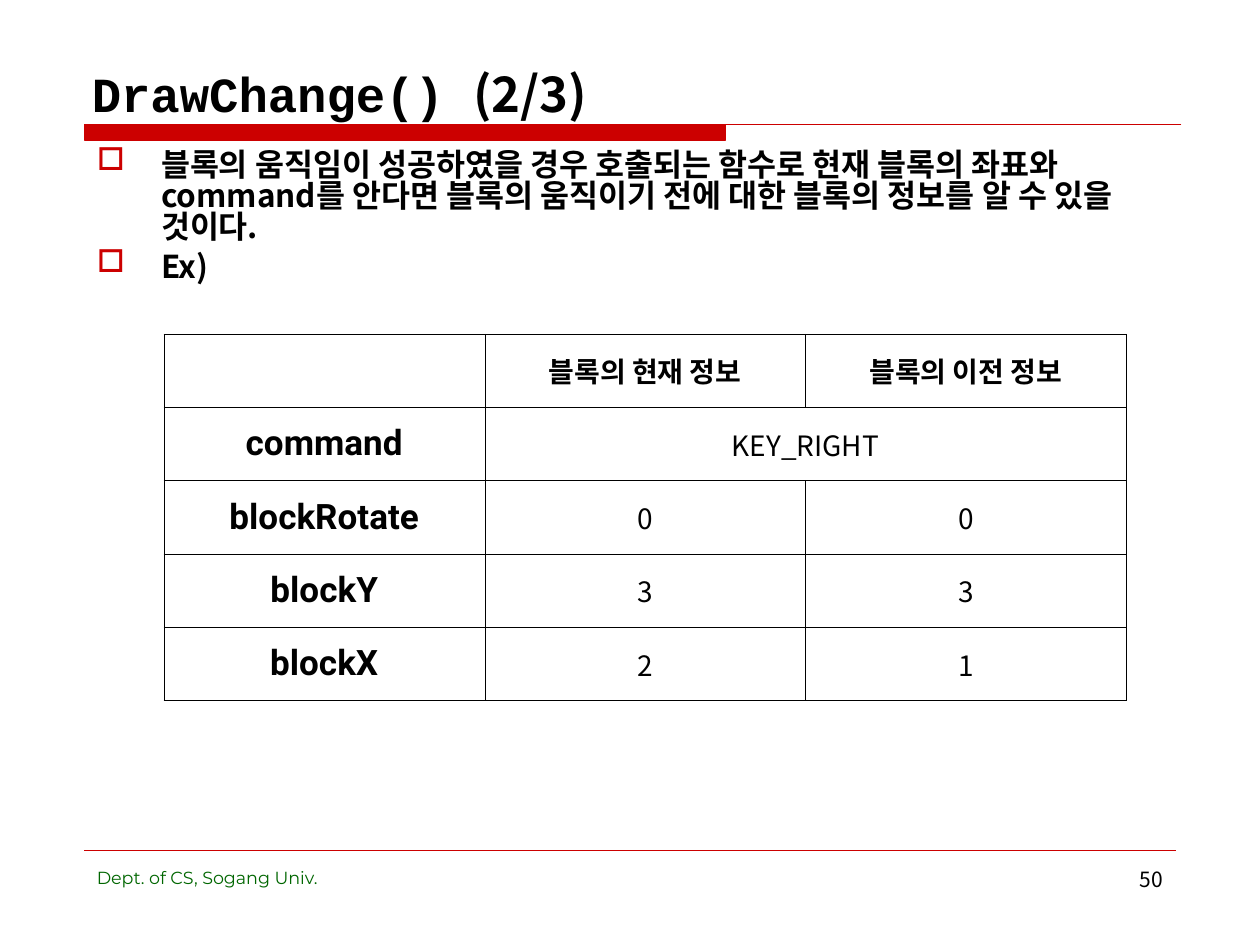
from dataclasses import dataclass
from pptx import Presentation
from pptx import util as u
from pptx.dml import color as c
from pptx.enum import shapes, text
from pptx.oxml import ns
from lxml import etree


@dataclass(frozen=True)
class Theme:
    red: str = "CC0000"
    green: str = "006600"
    ink: str = "000000"
    paper: str = "FFFFFF"
    sans: str = "Noto Sans CJK KR"
    code: str = "Courier New"
    label: str = "Roboto"
    foot: str = "Montserrat"
    head: int = 28
    key: int = 20
    body: int = 18
    cell: int = 16
    page: int = 12
    dept: int = 10


T = Theme()
COLS, ROWS = 100, 75      # the slide as a grid of square units
UNIT = u.Inches(0.1)
PAD = dict(margin_left=UNIT, margin_right=UNIT,
           margin_top=UNIT // 2, margin_bottom=UNIT // 2)
ALIGN, ANCHOR = text.PP_ALIGN, text.MSO_ANCHOR


def grid(*vals):
    return [round(v * UNIT) for v in vals]


def rgb(code):
    return c.RGBColor.from_string(code)


def apply(obj, **vals):
    for name, val in vals.items():
        setattr(obj, name, val)


def sub(node, tag, **vals):
    return etree.SubElement(node, ns.qn(tag), **vals)


def write(para, words, size, face=T.sans, tint=T.ink, bold=False):
    run = para.add_run()
    run.text = words
    apply(run.font, size=u.Pt(size), name=face, bold=bold)
    run.font.color.rgb = rgb(tint)
    sub(run.font._element, "a:ea", typeface=face)


def frame(slide, box, **vals):
    body = slide.shapes.add_textbox(*grid(*box)).text_frame
    apply(body, word_wrap=True, **{**PAD, **vals})
    return body


def rule(slide, box, width):
    x, y, w, h = grid(*box)
    line = slide.shapes.add_connector(
        shapes.MSO_CONNECTOR.STRAIGHT, x, y, x + w, y + h)
    line.line.color.rgb = rgb(T.red)
    line.line.width = u.Pt(width)
    sub(line._element.spPr, "a:effectLst")


def header(slide, box):
    x, y, w, h = box
    # Title sits on the rule
    body = frame(slide, (x - 0.4, y - h, w + 0.5, h),
                 vertical_anchor=ANCHOR.BOTTOM, margin_bottom=UNIT // 5)
    para = body.paragraphs[0]
    write(para, "DrawChange() ", T.head, T.code, bold=True)
    write(para, "(2/3)", T.head, bold=True)
    # Thick bar that thins out into a line
    bar, deep = 50.9, 1.2
    pts = [(x + w, y), (x + bar, y), (x + bar, y + deep), (x, y + deep)]
    path = slide.shapes.build_freeform(*grid(x, y))
    path.add_line_segments([grid(*p) for p in pts], close=True)
    shape = path.convert_to_shape()
    shape.shadow.inherit = False
    shape.fill.solid()
    shape.fill.fore_color.rgb = shape.line.color.rgb = rgb(T.red)
    shape.line.width = u.Pt(0.75)


def bullets(slide, box, items):
    body = frame(slide, box)
    hang = u.Inches(0.51)
    for i, words in enumerate(items):
        para = body.add_paragraph() if i else body.paragraphs[0]
        para.line_spacing = 0.83
        if i:
            para.space_before = u.Pt(4.5)
        prop = para._p.get_or_add_pPr()
        prop.set("marL", str(hang))
        prop.set("indent", str(-hang))
        sub(sub(prop, "a:buClr"), "a:srgbClr", val=T.red)
        sub(prop, "a:buChar", char="□")
        write(para, words, T.body, bold=True)


def border(cell):
    prop = cell._tc.get_or_add_tcPr()
    for i, side in enumerate(("a:lnL", "a:lnR", "a:lnT", "a:lnB")):
        line = etree.Element(ns.qn(side), w=str(u.Pt(0.06)))
        sub(sub(line, "a:solidFill"), "a:srgbClr", val=T.ink)
        prop.insert(i, line)


def table(slide, box, rows):
    obj = slide.shapes.add_table(len(rows), len(rows[0]), *grid(*box)).table
    apply(obj, first_row=False, horz_banding=False)
    for r, row in enumerate(rows):
        for k, words in enumerate(row):
            cell = obj.cell(r, k)
            apply(cell, vertical_anchor=ANCHOR.MIDDLE, **PAD)
            cell.fill.solid()
            cell.fill.fore_color.rgb = rgb(T.paper)
            border(cell)
            para = cell.text_frame.paragraphs[0]
            para.alignment = ALIGN.CENTER
            if not words:
                continue
            if k == 0:
                write(para, words, T.key, T.label, bold=True)
            else:
                write(para, words, T.cell, bold=r == 0)
    # The command is shared by both states
    obj.cell(1, 1).merge(obj.cell(1, 2))


def footer(slide, box):
    x, y, w, h = box
    rule(slide, (x, y, w, 0), 0.25)
    top, page = y + 0.8, 21.7
    left = frame(slide, (x, top, 35.5, h))
    write(left.paragraphs[0], "Dept. of CS, Sogang Univ.",
          T.dept, T.foot, T.green)
    right = frame(slide, (x + w - page, top, page, h))
    right.paragraphs[0].alignment = ALIGN.RIGHT
    write(right.paragraphs[0], "50", T.page)


def main():
    deck = Presentation()
    apply(deck, slide_width=COLS * UNIT, slide_height=ROWS * UNIT)
    slide = deck.slides.add_slide(deck.slide_layouts[6])
    left, wide = 6.7, 86.6
    header(slide, (left, 9.9, wide + 0.4, 6.6))
    footer(slide, (left, 67.5, wide, 5.2))
    bullets(slide, (left, 11.5, wide, 52.8), [
        "블록의 움직임이 성공하였을 경우 호출되는 함수로 현재 블록의 좌표와 "
        "command를 안다면 블록의 움직이기 전에 대한 블록의 정보를 알 수 있을 "
        "것이다.",
        "Ex)",
    ])
    table(slide, (13, 26.5, 76.4, 29.1), [
        ("", "블록의 현재 정보", "블록의 이전 정보"),
        ("command", "KEY_RIGHT", ""),
        ("blockRotate", "0", "0"),
        ("blockY", "3", "3"),
        ("blockX", "2", "1"),
    ])
    deck.save("out.pptx")


if __name__ == "__main__":
    main()
